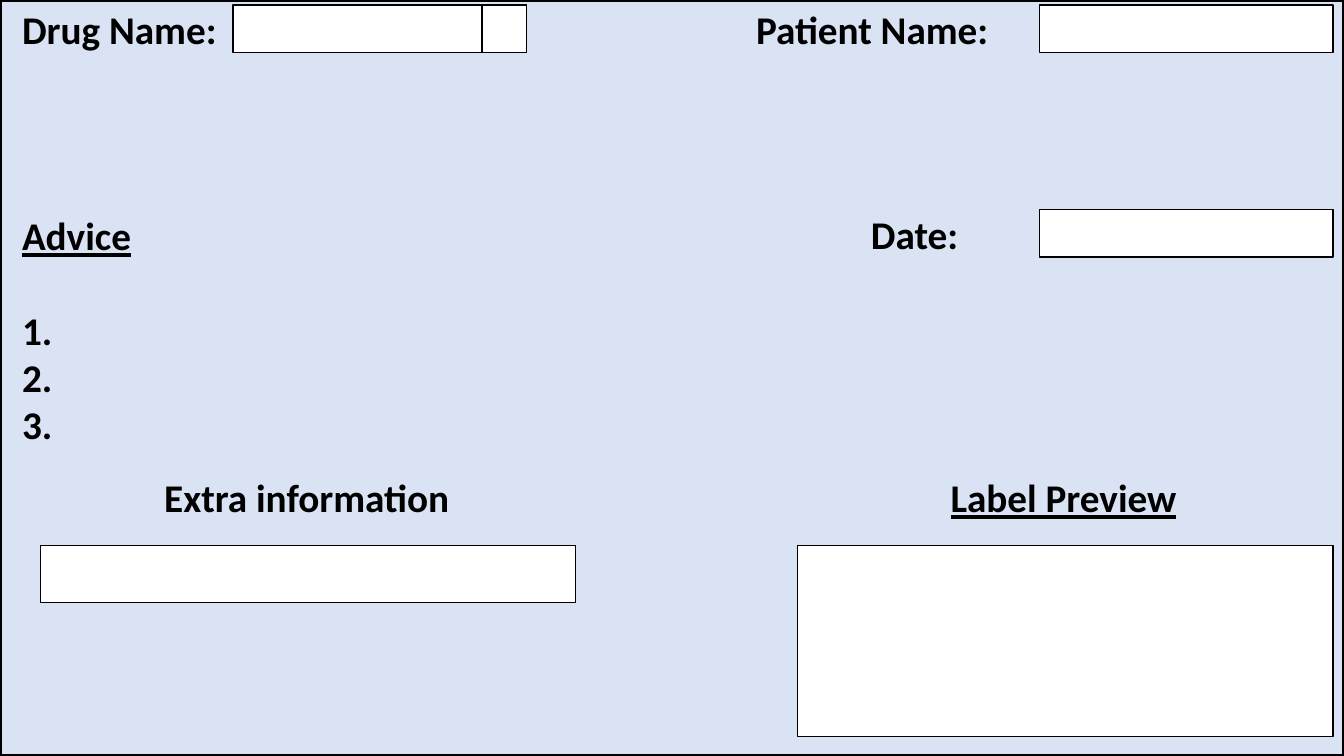
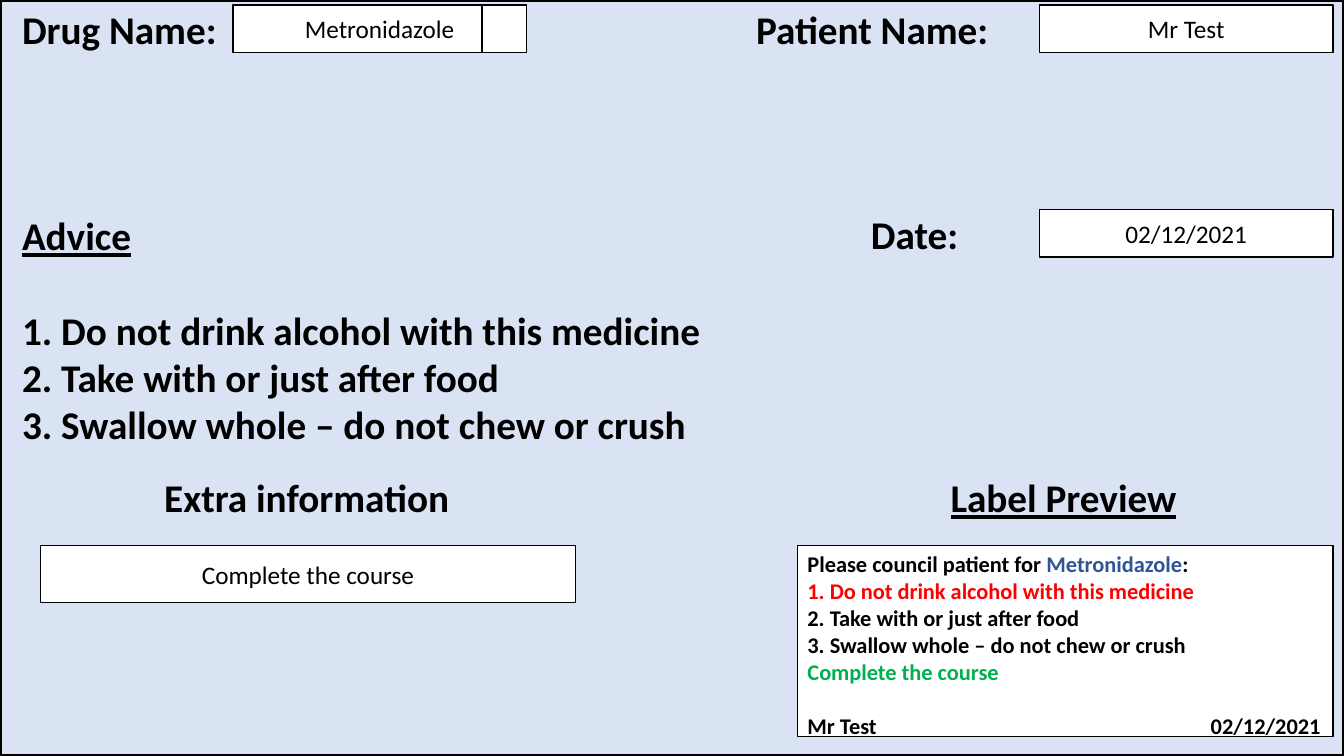
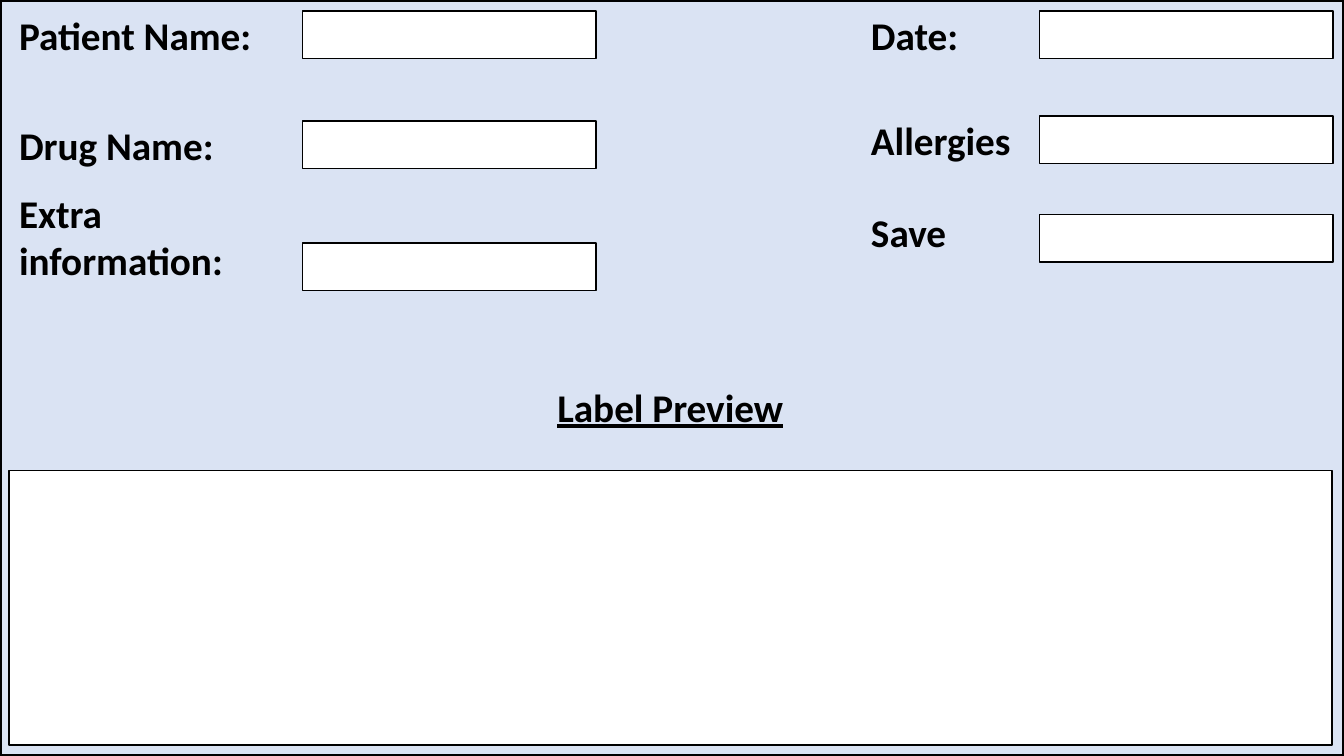
from lxml import etree
from pptx import Presentation
from pptx.dml.color import RGBColor
from pptx.enum.shapes import MSO_SHAPE
from pptx.enum.text import MSO_ANCHOR, MSO_AUTO_SIZE, PP_ALIGN
from pptx.oxml.ns import qn
from pptx.util import Inches, Pt

RECTANGLE = MSO_SHAPE.RECTANGLE
MIDDLE = MSO_ANCHOR.MIDDLE
GROW = MSO_AUTO_SIZE.SHAPE_TO_FIT_TEXT
LEFT, CENTER = PP_ALIGN.LEFT, PP_ALIGN.CENTER

COLORS = {
    "page": "DAE3F3",
    "field": "FFFFFF",
    "ink": "000000",
    "drug": "2F5597",
    "warning": "FF0000",
    "extra": "00B050",
}
WIDTH, HEIGHT = 13.33, 7.5
FIELD_WIDTH, FIELD_HEIGHT = 2.91, 0.47
LABEL_WIDTH, LABEL_HEIGHT = 4.05, 0.57
RIGHT_LABEL, RIGHT_FIELD = 8.54, 10.31
PANEL_TOP, PANEL_WIDTH = 5.41, 5.31


def color(name):
    return RGBColor.from_string(COLORS[name])


def write(paragraph, text, size=28, bold=True, underline=False, ink="ink",
          align=LEFT, before=0):
    paragraph.alignment = align
    paragraph.space_before = Pt(before)
    span = paragraph.add_run()
    span.text = text
    font = span.font
    font.name = "Calibri"
    font.size = Pt(size)
    font.bold = bold
    font.underline = underline
    font.color.rgb = color(ink)


def add_tab_stop(paragraph, position):
    tabs = etree.SubElement(paragraph._p.get_or_add_pPr(), qn("a:tabLst"))
    etree.SubElement(tabs, qn("a:tab"), pos=str(Inches(position)), algn="l")


class Form:
    def __init__(self):
        self.deck = Presentation()
        self.deck.slide_width = Inches(WIDTH)
        self.deck.slide_height = Inches(HEIGHT)
        self.page = None

    def new_page(self):
        self.page = self.deck.slides.add_slide(self.deck.slide_layouts[6])
        self.field(0, 0, WIDTH, HEIGHT, fill="page", line=2.25)

    def field(self, left, top, width=FIELD_WIDTH, height=FIELD_HEIGHT,
              text="", fill="field", line=1):
        box = self.page.shapes.add_shape(
            RECTANGLE, Inches(left), Inches(top), Inches(width), Inches(height))
        box.shadow.inherit = False
        box.fill.solid()
        box.fill.fore_color.rgb = color(fill)
        box.line.color.rgb = color("ink")
        box.line.width = Pt(line)
        if text:
            box.text_frame.vertical_anchor = MIDDLE
            write(box.text_frame.paragraphs[0], text, size=18, bold=False,
                  align=CENTER)

    def text(self, left, top, width, height):
        box = self.page.shapes.add_textbox(
            Inches(left), Inches(top), Inches(width), Inches(height))
        frame = box.text_frame
        frame.word_wrap = True
        frame.auto_size = GROW
        return frame

    def label(self, text, left, top, width=LABEL_WIDTH, height=LABEL_HEIGHT,
              underline=False):
        frame = self.text(left, top, width, height)
        write(frame.paragraphs[0], text, underline=underline)

    def advice(self, lines):
        frame = self.text(0.12, 2.05, 7.29, 2.46)
        write(frame.paragraphs[0], "Advice", underline=True)
        for index, line in enumerate(lines):
            write(frame.add_paragraph(), line, before=0 if index else 34)

    def preview(self, drug, patient, date, extra, lines):
        frame = self.text(7.91, PANEL_TOP, PANEL_WIDTH, 2.26)
        heading = frame.paragraphs[0]
        write(heading, "Please council patient for ", size=16)
        write(heading, drug, size=16, ink="drug")
        write(heading, ":", size=16)
        inks = ["warning"] + ["ink"] * (len(lines) - 1) + ["extra"]
        for line, ink in zip(lines + [extra], inks):
            write(frame.add_paragraph(), line, size=16, ink=ink)
        signature = frame.add_paragraph()
        write(signature, f"{patient}\t{date}", size=16, before=19.5)
        add_tab_stop(signature, 4)

    def prescription(self, advice, drug="", patient="", date="", extra=""):
        lines = [f"{number}. {item}".strip()
                 for number, item in enumerate(advice, 1)]
        self.new_page()
        self.label("Drug Name:", 0.12, 0)
        self.advice(lines)
        self.label("Patient Name:", 7.4, 0)
        self.field(2.31, 0.05, text=drug)
        self.field(4.78, 0.05, width=0.44)
        self.field(RIGHT_FIELD, 0.05, text=patient)
        self.label("Date:", RIGHT_LABEL, 2.04)
        self.field(RIGHT_FIELD, 2.08, text=date)
        self.label("Extra information", 1.53, 4.65, width=3.05)
        self.field(0.4, PANEL_TOP, PANEL_WIDTH, 0.57, text=extra)
        self.label("Label Preview", 9.33, 4.65, width=2.47, underline=True)
        self.field(7.91, PANEL_TOP, PANEL_WIDTH, 1.9)
        if drug:
            self.preview(drug, patient, date, extra, lines)

    def label_entry(self):
        self.new_page()
        for text, top, field_top in [("Patient Name:", 0.06, 0.11),
                                     ("Drug Name:", 1.15, 1.2)]:
            self.label(text, 0.09, top)
            self.field(3, field_top)
        self.label("Extra information:", 0.09, 1.83, width=3.05, height=1.04)
        self.field(3, 2.41)
        for text, top, field_top in [("Date:", 0.06, 0.11),
                                     ("Allergies", 1.1, 1.15),
                                     ("Save", 2.02, 2.13)]:
            self.label(text, RIGHT_LABEL, top)
            self.field(RIGHT_FIELD, field_top)
        self.label("Label Preview", 5.43, 3.75, width=2.47, underline=True)
        self.field(0.09, 4.67, 13.12, 2.72)


def main():
    form = Form()
    form.prescription(["", "", ""])
    form.prescription(
        ["Do not drink alcohol with this medicine",
         "Take with or just after food",
         "Swallow whole – do not chew or crush"],
        drug="Metronidazole", patient="Mr Test", date="02/12/2021",
        extra="Complete the course")
    form.label_entry()
    form.deck.save("out.pptx")


if __name__ == "__main__":
    main()
